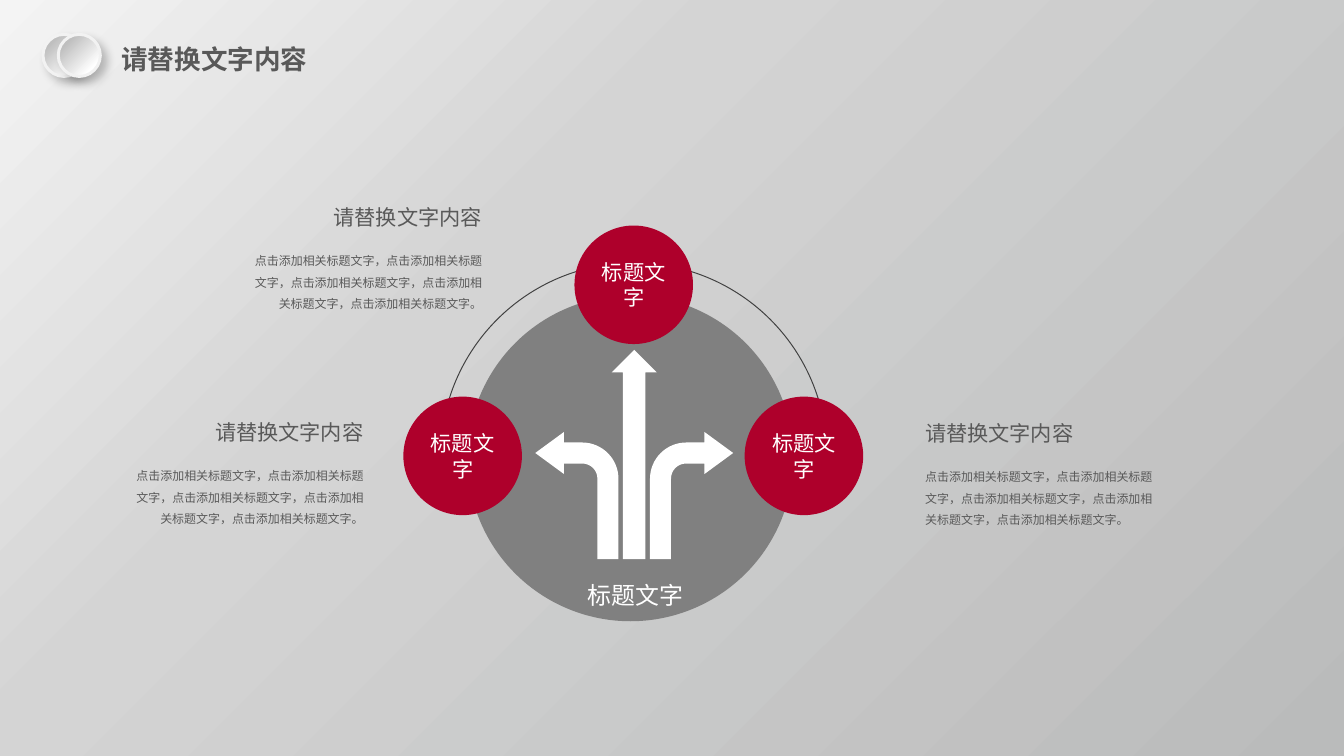
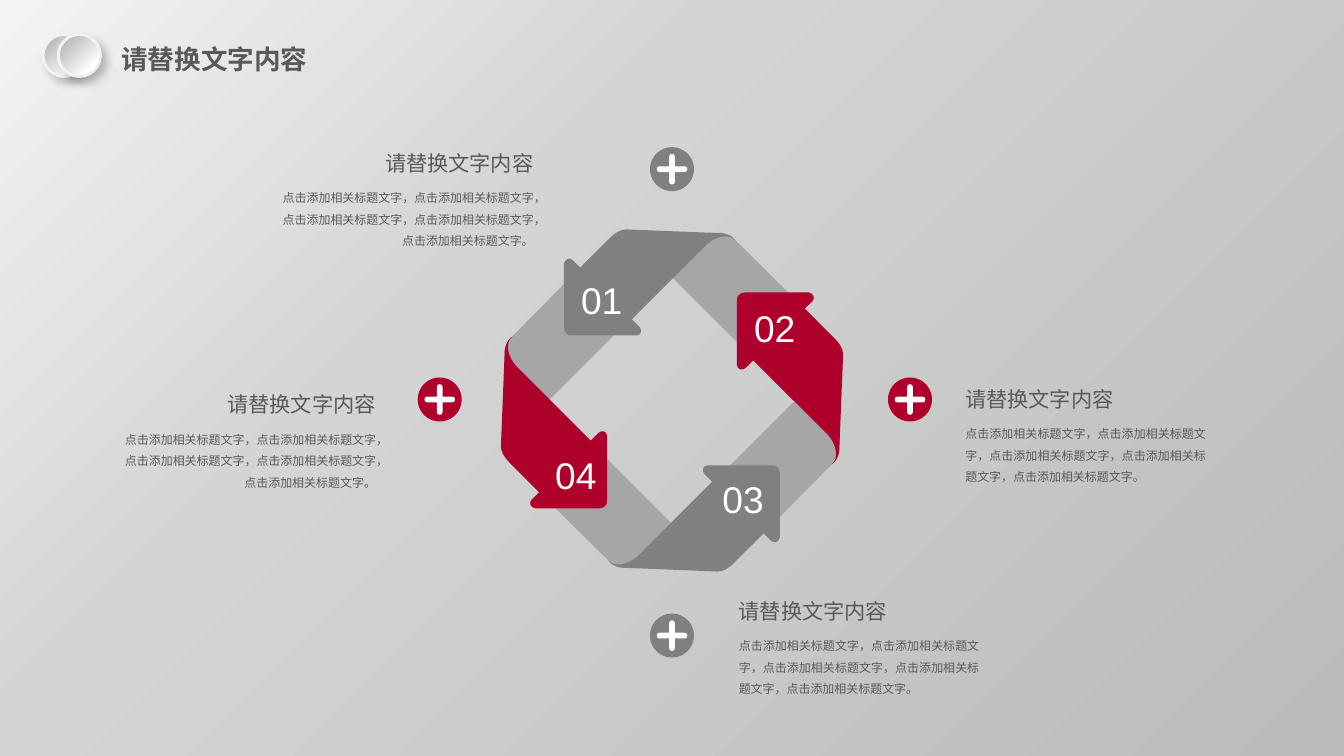
from copy import deepcopy

from lxml import etree
from pptx import Presentation
from pptx.dml.color import RGBColor
from pptx.enum.shapes import MSO_SHAPE
from pptx.enum.text import MSO_ANCHOR, MSO_AUTO_SIZE, PP_ALIGN
from pptx.oxml.ns import qn
from pptx.util import Inches, Pt

OVAL, UP_ARROW = MSO_SHAPE.OVAL, MSO_SHAPE.UP_ARROW
LEFT, RIGHT = PP_ALIGN.LEFT, PP_ALIGN.RIGHT
CENTER, JUSTIFY = PP_ALIGN.CENTER, PP_ALIGN.JUSTIFY
TOP, MIDDLE = MSO_ANCHOR.TOP, MSO_ANCHOR.MIDDLE
GROW = MSO_AUTO_SIZE.SHAPE_TO_FIT_TEXT

COLORS = {name: RGBColor.from_string(value) for name, value in {
    "red": "AE002B", "grey": "808080", "band": "A6A6A6", "white": "FFFFFF",
    "text": "595959", "line": "404040", "rim": "F2F2F2", "shade": "BFBFBF",
    "back_start": "F4F4F4", "back_middle": "D4D4D4", "back_end": "BABBBB",
}.items()}
HEADING = "请替换文字内容"
LABEL = "标题文字"
BODY = "点击添加相关标题文字，" * 4 + "点击添加相关标题文字。"


def draw_outline(shapes, steps, x, y, fill=None, quarters=(0,), flip=1):
    places, counts = [], []
    for quarter in quarters:
        for step in steps:
            counts.append(len(step) // 2)
            for across, down in zip(step[::2], step[1::2]):
                across *= flip
                for _ in range(quarter):
                    across, down = -down, across
                places.append((Inches(x + across), Inches(y + down)))
    builder = shapes.build_freeform(*places[0])
    builder.add_line_segments(places[1:], close=True)
    shape = builder.convert_to_shape()
    lines = iter(shape.element.findall(".//" + qn("a:lnTo")))
    for count in counts[1:]:
        segment = next(lines)
        if count == 3:
            segment.addprevious(etree.Element(qn("a:cubicBezTo")))
            curve = segment.getprevious()
            for line in (segment, next(lines), next(lines)):
                curve.append(line[0])
                line.getparent().remove(line)
    shape.shadow.inherit = False
    shape.line.fill.background()
    if fill is None:
        shape.fill.background()
    else:
        shape.fill.solid()
        shape.fill.fore_color.rgb = COLORS[fill]
    return shape


def write_text(shape, text, size, color, font="Arial", align=LEFT, anchor=TOP,
               wrap=True, spacing=None, bold=False):
    frame = shape.text_frame
    frame.word_wrap = wrap
    frame.vertical_anchor = anchor
    para = frame.paragraphs[0]
    para.alignment = align
    if spacing:
        para.line_spacing = spacing
    span = para.add_run()
    span.text = text
    span.font.size = Pt(size)
    span.font.name = font
    span.font.bold = bold
    span.font.color.rgb = COLORS[color]
    return frame


deck = Presentation()
deck.slide_width = Inches(14.06)
deck.slide_height = Inches(7.91)

master = deck.slide_master
back = master.background.fill
back.gradient()
back.gradient_angle = 315
stop_list = master.element.find(".//" + qn("a:gsLst"))
stop_list.append(deepcopy(stop_list[-1]))
for stop, (position, name) in zip(back.gradient_stops, (
        (0, "back_start"), (0.35, "back_middle"), (1, "back_end"))):
    stop.position = position
    stop.color.rgb = COLORS[name]

paths_page, ring_page = pages = [deck.slides.add_slide(deck.slide_layouts[5]) for _ in range(2)]

DOME = [(-2.02, 0), (-2.02, -1.12, -1.11, -2.02, 0, -2.02), (1.11, -2.02, 2.02, -1.12, 2.02, 0)]
SIDE_ARROW = [
    (0.17, 0), (0.17, -0.84), (0.17, -1.05, 0.34, -1.22, 0.55, -1.22), (0.74, -1.22),
    (0.74, -1.33), (1.04, -1.11), (0.74, -0.89), (0.74, -1), (0.55, -1),
    (0.46, -1, 0.39, -0.93, 0.39, -0.84), (0.39, 0),
]
dome = draw_outline(paths_page.shapes, DOME, 6.63, 4.77)
dome.line.color.rgb = COLORS["line"]
dome.line.width = Pt(0.75)
for kind, left, top, width, height, fill, text in (
        (OVAL, 4.89, 3.09, 3.41, 3.41, "grey", None),
        (UP_ARROW, 6.4, 3.66, 0.47, 2.19, "white", None),
        (OVAL, 4.22, 4.15, 1.24, 1.24, "red", LABEL),
        (OVAL, 7.79, 4.15, 1.24, 1.24, "red", LABEL),
        (OVAL, 6.01, 2.36, 1.24, 1.24, "red", LABEL)):
    shape = paths_page.shapes.add_shape(kind, Inches(left), Inches(top), Inches(width), Inches(height))
    shape.shadow.inherit = False
    shape.fill.solid()
    shape.fill.fore_color.rgb = COLORS[fill]
    shape.line.fill.background()
    if text:
        frame = write_text(shape, text, 16, "white", align=CENTER, anchor=MIDDLE)
        frame.margin_left = frame.margin_right = frame.margin_top = frame.margin_bottom = 0
for axis, flip in ((6.63, 1), (6.64, -1)):
    draw_outline(paths_page.shapes, SIDE_ARROW, axis, 5.85, "white", flip=flip)
caption = paths_page.shapes.add_textbox(Inches(5.82), Inches(5.93), Inches(1.65), Inches(0.57))
write_text(caption, LABEL, 18, "white", align=CENTER, anchor=MIDDLE, spacing=1.1)

PLUS_ARM = [
    (-0.03, -0.03), (-0.03, -0.13), (-0.03, -0.15, -0.02, -0.16, 0, -0.16),
    (0.02, -0.16, 0.03, -0.15, 0.03, -0.13),
]
RING_BAND = [
    (0.53, -1.75), (-0.46, -1.75), (0.98, -0.31), (1.51, -0.84), (0.64, -1.7),
    (0.59, -1.74, 0.55, -1.74, 0.53, -1.75),
]
RING_ARROW = [
    (-0.48, -1.79), (-0.54, -1.79, -0.6, -1.75, -0.65, -1.7), (-0.96, -1.39), (-1.04, -1.47),
    (-1.07, -1.5, -1.12, -1.48, -1.13, -1.43), (-1.13, -0.77),
    (-1.13, -0.71, -1.09, -0.67, -1.04, -0.68), (-0.37, -0.68),
    (-0.32, -0.68, -0.31, -0.74, -0.34, -0.77), (-0.42, -0.85), (0.36, -1.63),
    (0.46, -1.72, 0.6, -1.75, 0.67, -1.67), (0.67, -1.67, 0.63, -1.74, 0.52, -1.75),
]
for x, y, fill in ((9.52, 4.18, "red"), (4.6, 4.18, "red"), (7.03, 1.77, "grey"), (7.03, 6.65, "grey")):
    badge = ring_page.shapes.add_group_shape().shapes
    disc = badge.add_shape(OVAL, Inches(x - 0.23), Inches(y - 0.23), Inches(0.46), Inches(0.46))
    disc.shadow.inherit = False
    disc.fill.solid()
    disc.fill.fore_color.rgb = COLORS[fill]
    disc.line.fill.background()
    draw_outline(badge, PLUS_ARM, x, y, "white", range(4))

ring = ring_page.shapes.add_group_shape().shapes
for quarter in range(4):
    draw_outline(ring, RING_BAND, 7.03, 4.19, "band", (quarter,))
for quarter, (left, top) in enumerate(((5.98, 2.85), (7.79, 3.15), (7.46, 4.93), (5.71, 4.68))):
    draw_outline(ring, RING_ARROW, 7.03, 4.19, ("grey", "red")[quarter % 2], (quarter,))
    number = ring.add_textbox(Inches(left), Inches(top), Inches(0.64), Inches(0.57))
    write_text(number, f"{quarter + 1:02}", 28, "white", wrap=False).auto_size = GROW

for page, font, gap, edge, top, width, align, body_align in (
        (paths_page, "Calibri", 0.44, 9.58, 4.35, 2.58, LEFT, LEFT),
        (paths_page, "Calibri", 0.44, 5.14, 2.09, 2.58, RIGHT, RIGHT),
        (paths_page, "Calibri", 0.44, 3.9, 4.34, 2.58, RIGHT, RIGHT),
        (ring_page, "Arial", 0.35, 5.68, 1.52, 2.84, RIGHT, RIGHT),
        (ring_page, "Arial", 0.35, 4.03, 4.05, 2.84, RIGHT, RIGHT),
        (ring_page, "Arial", 0.35, 10, 3.99, 2.71, LEFT, JUSTIFY),
        (ring_page, "Arial", 0.35, 7.63, 6.21, 2.71, LEFT, JUSTIFY)):
    shift = 1 if align == RIGHT else 0
    body = page.shapes.add_textbox(Inches(edge - shift * width), Inches(top + gap), Inches(width), Inches(0.78))
    write_text(body, BODY, 9, "text", align=body_align, spacing=1.5).auto_size = GROW
    heading = page.shapes.add_textbox(Inches(edge - shift * 1.77), Inches(top), Inches(1.77), Inches(0.37))
    write_text(heading, HEADING, 16, "text", font, align, wrap=False).auto_size = GROW

for page in pages:
    title = page.shapes.title
    title.left, title.top = Inches(1.17), Inches(0.4)
    title.width, title.height = Inches(2.17), Inches(0.44)
    write_text(title, HEADING, 20, "text", "Calibri", wrap=False, bold=True)
    for left in (0.45, 0.61):
        disc = page.shapes.add_shape(OVAL, Inches(left), Inches(0.36), Inches(0.44), Inches(0.44))
        disc.fill.gradient()
        disc.fill.gradient_angle = 315
        for stop, (position, name) in zip(disc.fill.gradient_stops, ((0.2, "shade"), (0.8, "white"))):
            stop.position = position
            stop.color.rgb = COLORS[name]
        disc.line.color.rgb = COLORS["rim"]
        disc.line.width = Pt(2.25)
        disc.shadow.inherit = False
        effects = disc.element.spPr.find(qn("a:effectLst"))
        shadow = etree.SubElement(effects, qn("a:outerShdw"), blurRad=str(Pt(7)),
                                  dist=str(Pt(5.9)), dir="2700000", algn="tl", rotWithShape="0")
        shadow_color = etree.SubElement(shadow, qn("a:srgbClr"), val="000000")
        etree.SubElement(shadow_color, qn("a:alpha"), val="23000")

deck.save("out.pptx")
